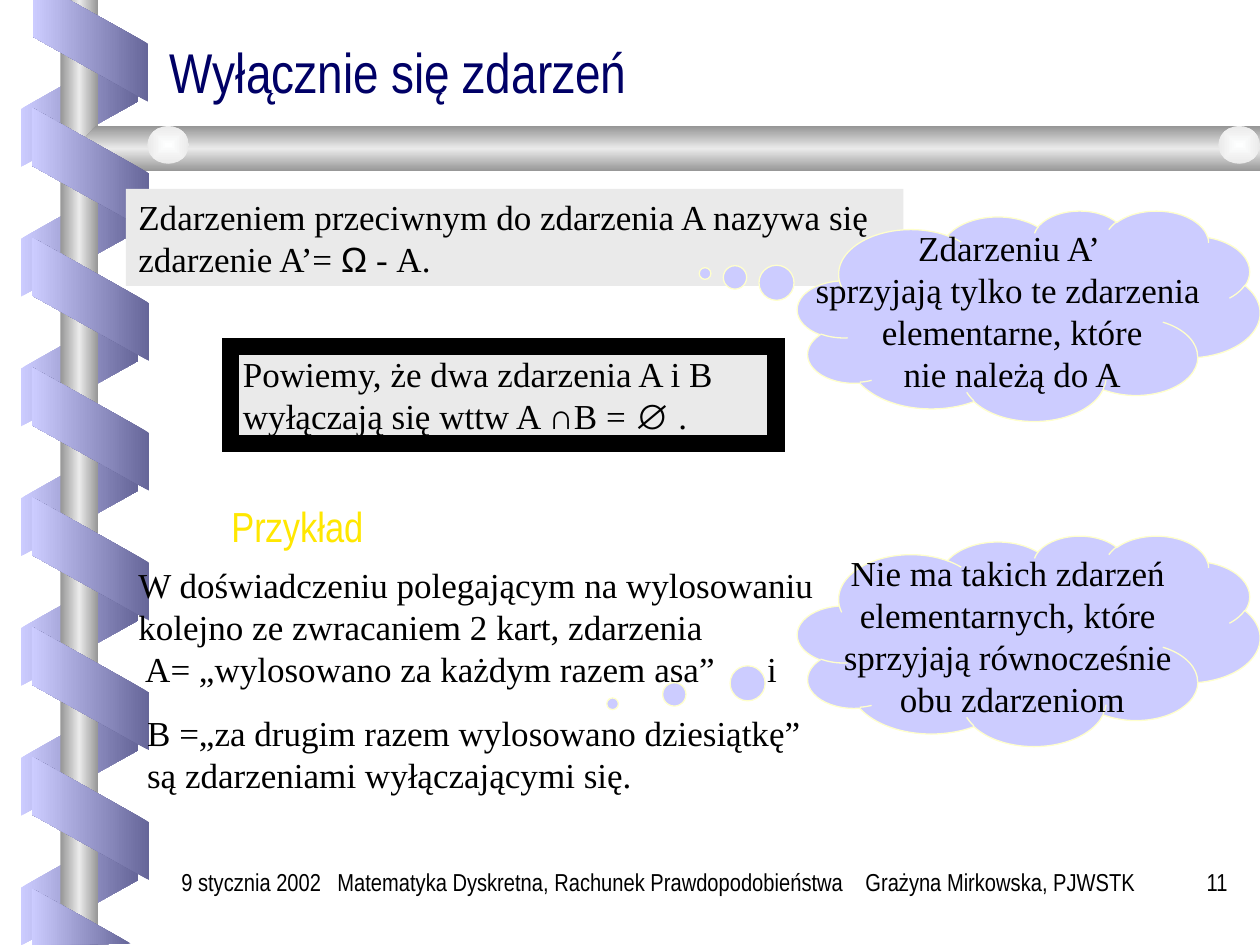
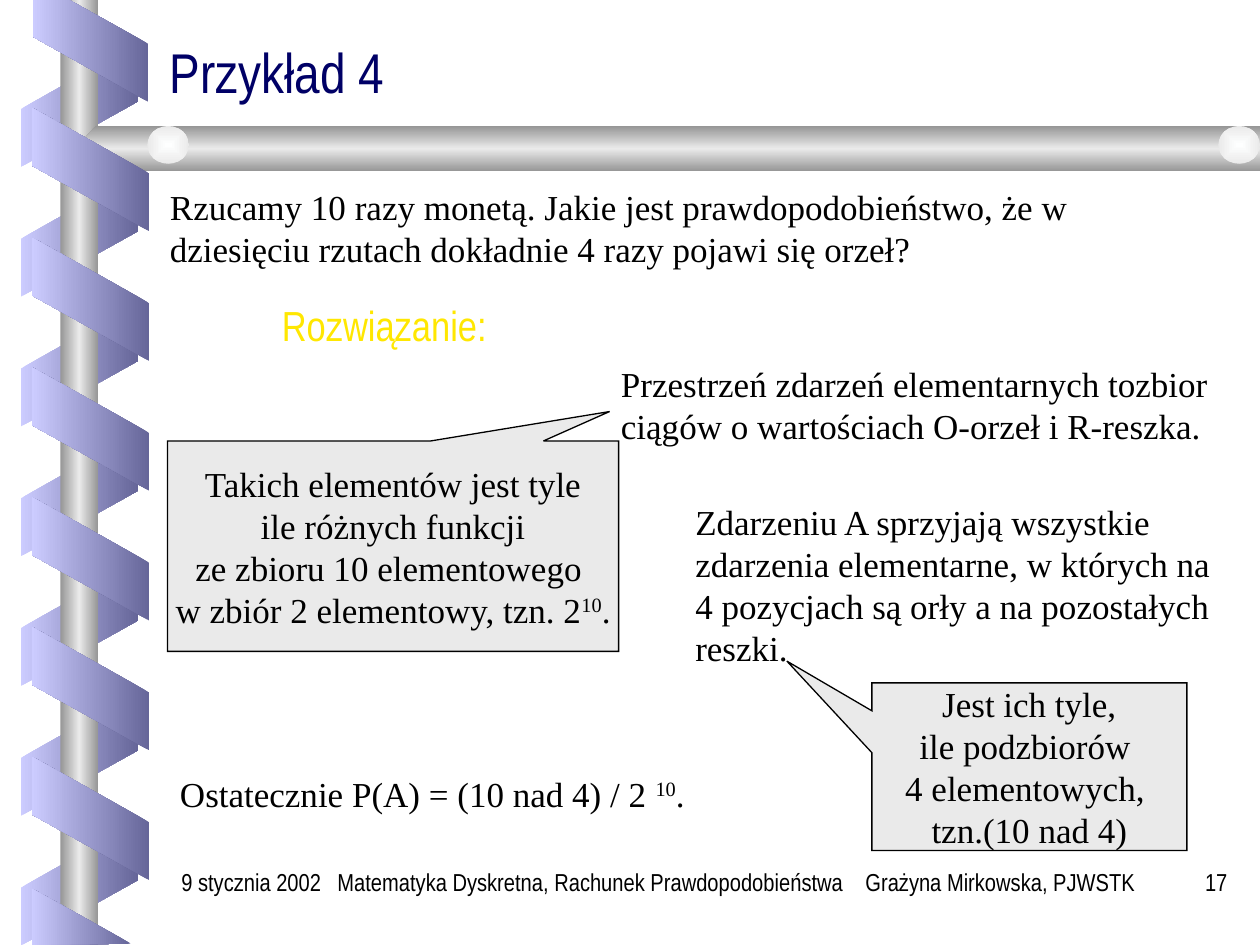
from collections import namedtuple
from dataclasses import dataclass

from lxml import etree
from pptx import Presentation
from pptx.dml.color import RGBColor
from pptx.enum.shapes import MSO_SHAPE
from pptx.enum.text import MSO_ANCHOR, PP_ALIGN
from pptx.oxml import parse_xml
from pptx.oxml.ns import nsdecls, qn
from pptx.util import Inches, Pt

RECTANGLE, ELLIPSE = MSO_SHAPE.RECTANGLE, MSO_SHAPE.OVAL
PARALLELOGRAM = MSO_SHAPE.PARALLELOGRAM
CLOUD, WEDGE = MSO_SHAPE.CLOUD_CALLOUT, MSO_SHAPE.RECTANGULAR_CALLOUT
TOP, MIDDLE, BOTTOM = MSO_ANCHOR.TOP, MSO_ANCHOR.MIDDLE, MSO_ANCHOR.BOTTOM
LEFT, CENTER, RIGHT = PP_ALIGN.LEFT, PP_ALIGN.CENTER, PP_ALIGN.RIGHT

Box = namedtuple("Box", "left top width height")
Style = namedtuple("Style", "font size color")
Run = namedtuple("Run", "text font superscript", defaults=(None, False))


@dataclass(frozen=True)
class Theme:
    title: Style = Style("Arial Narrow", 32, "000066")
    heading: Style = Style("Arial Narrow", 24, "FFE701")
    body: Style = Style("Times New Roman", 20, "000000")
    footer: Style = Style("Arial Narrow", 14, "000000")
    symbol_font: str = "Arial"
    panel: str = "EAEAEA"
    cloud: str = "CCCCFF"
    cloud_line: str = "FFFFCC"
    outline: str = "000000"
    ribbon_light: str = "CCCCFF"
    ribbon_dark: str = "666699"
    metal: tuple = ("969696", "EAEAEA", "969696")
    knob: tuple = ("FEFFFF", "EAEAEA")
    paragraph_gap: float = 12.5


THEME = Theme()
RIBBON_STEP = 1.03
RIBBON_SKEW = 0.56


def emu(box):
    return [Inches(length) for length in box]


def inside(box, left, top, width, height):
    """A box whose corner is measured from the corner of another box."""
    return Box(box.left + left, box.top + top, width, height)


def fill_gradient(shape, colors, angle=None):
    """Spread colors evenly along an angle, or outwards from the centre."""
    stops = "".join(
        f'<a:gs pos="{100000 * index // (len(colors) - 1)}"><a:srgbClr val="{color}"/></a:gs>'
        for index, color in enumerate(colors))
    if angle is None:
        shade = ('<a:path path="rect"><a:fillToRect l="50000" t="50000" '
                 'r="50000" b="50000"/></a:path>')
    else:
        shade = f'<a:lin ang="{angle * 60000}" scaled="1"/>'
    gradient = parse_xml(f'<a:gradFill {nsdecls("a")} rotWithShape="0">'
                         f"<a:gsLst>{stops}</a:gsLst>{shade}</a:gradFill>")
    geometry = shape.element.spPr.find(qn("a:prstGeom"))
    if geometry is None:
        geometry = shape.element.spPr.find(qn("a:custGeom"))
    geometry.addnext(gradient)
    shape.line.fill.background()
    shape.shadow.inherit = False


def add_gradient_shape(shapes, kind, box, colors, angle=None):
    shape = shapes.add_shape(kind, *emu(box))
    fill_gradient(shape, colors, angle)
    return shape


def add_outline(shapes, box, points, colors, angle):
    """Closed freeform with points measured from the corner of the box."""
    corners = [(Inches(box.left + x), Inches(box.top + y)) for x, y in points]
    builder = shapes.build_freeform(*corners[0], scale=1.0)
    builder.add_line_segments(corners[1:], close=True)
    fill_gradient(builder.convert_to_shape(), colors, angle)


def write_run(paragraph, item):
    for index, line in enumerate(item.text.split("\n")):
        if index:
            paragraph.add_line_break()
        if not line:
            continue
        run = paragraph.add_run()
        run.text = line
        if item.font:
            run.font.name = item.font
        if item.superscript:
            run.font._element.set("baseline", "30000")


def write_text(shape, paragraphs, style, align=LEFT, anchor=TOP, wrap=True,
               tab=None, line_spacing=None):
    """Each paragraph is a string or a list of strings and Runs."""
    frame = shape.text_frame
    frame.word_wrap = wrap
    frame.vertical_anchor = anchor
    for index, content in enumerate(paragraphs):
        paragraph = frame.add_paragraph() if index else frame.paragraphs[0]
        paragraph.alignment = align
        if index:
            paragraph.space_before = Pt(THEME.paragraph_gap)
        if line_spacing:
            paragraph.line_spacing = line_spacing
        if tab:
            tabs = etree.SubElement(paragraph._p.get_or_add_pPr(), qn("a:tabLst"))
            etree.SubElement(tabs, qn("a:tab"), pos=str(Inches(tab)), algn="l")
        paragraph.font.name = style.font
        paragraph.font.size = Pt(style.size)
        paragraph.font.color.rgb = RGBColor.from_string(style.color)
        for item in [content] if isinstance(content, str) else content:
            write_run(paragraph, Run(item) if isinstance(item, str) else item)


def add_text(slide, box, paragraphs, style=THEME.body, **options):
    write_text(slide.shapes.add_textbox(*emu(box)), paragraphs, style, **options)


def add_panel(slide, kind, box, paragraphs, fill=THEME.panel, line=None,
              line_width=0.75, tip=(), **options):
    """Filled shape with text; tip is where a callout points."""
    shape = slide.shapes.add_shape(kind, *emu(box))
    shape.shadow.inherit = False
    shape.fill.solid()
    shape.fill.fore_color.rgb = RGBColor.from_string(fill)
    if line:
        shape.line.color.rgb = RGBColor.from_string(line)
        shape.line.width = Pt(line_width)
        etree.SubElement(shape.element.spPr.find(qn("a:ln")), qn("a:miter"), lim="800000")
    else:
        shape.line.fill.background()
    for index, offset in enumerate(tip):
        shape.adjustments[index] = offset
    write_text(shape, paragraphs, THEME.body, **options)


def add_callout(slide, kind, box, text, tip, fill, line):
    add_panel(slide, kind, box, [text], fill, line, tip=tip,
              align=CENTER, anchor=MIDDLE, wrap=False)


def add_cloud(slide, box, text, tip):
    add_callout(slide, CLOUD, box, text, tip, THEME.cloud, THEME.cloud_line)


def add_wedge(slide, box, text, tip):
    add_callout(slide, WEDGE, box, text, tip, THEME.panel, THEME.outline)


def draw_ribbon_turns(shapes, box, count, rotation, colors):
    """Slanted bands stacked downwards; box is the first one."""
    for turn in range(count):
        band = box._replace(top=box.top + turn * RIBBON_STEP)
        shape = add_gradient_shape(shapes, PARALLELOGRAM, band, colors, 180)
        shape.adjustments[0] = RIBBON_SKEW
        shape.rotation = rotation
        if rotation == 90:
            shape.element.spPr.find(qn("a:xfrm")).set("flipH", "1")


def draw_back_ribbon(slide, box):
    shapes = slide.shapes.add_group_shape().shapes
    draw_ribbon_turns(shapes, inside(box, 0.14, 0.37, 0.98, 0.93), 7, 90,
                      (THEME.ribbon_light, THEME.ribbon_dark))


def draw_front_ribbon(slide, box):
    shapes = slide.shapes.add_group_shape().shapes
    colors = (THEME.ribbon_dark, THEME.ribbon_light)
    draw_ribbon_turns(shapes, inside(box, 0.23, 0.88, 0.98, 0.93), 6, 270, colors)
    upper_end = [(0.26, 0), (0.26, 0.29), (1.18, 0.81), (1.18, 0.35), (0.55, 0)]
    lower_end = [(1.04, 7.49), (0.25, 7.05), (0.25, 7.5)]
    for points in (upper_end, lower_end):
        add_outline(shapes, box, points, colors, 180)


def draw_beam(slide, box):
    """Horizontal metal bar with a pointed left end and two knobs."""
    right, bottom, neck = box.width, box.height, 0.16
    add_outline(slide.shapes, box,
                [(right, 0), (neck, 0), (0, bottom / 2), (neck, bottom), (right, bottom)],
                THEME.metal, 90)
    for left in (0.57, right - 0.33):
        add_gradient_shape(slide.shapes, ELLIPSE, inside(box, left, 0, 0.33, 0.3), THEME.knob)


def draw_frame(slide, box):
    draw_back_ribbon(slide, box)
    add_gradient_shape(slide.shapes, RECTANGLE, inside(box, 0.48, 0, 0.3, box.height),
                       THEME.metal, 180)
    draw_beam(slide, inside(box, 0.6, 1, box.width - 0.6, 0.36))
    draw_front_ribbon(slide, box)


def draw_footer(slide, box, number):
    add_text(slide, inside(box, 1.24, 0, 6.58, box.height),
             ["Matematyka Dyskretna, Rachunek Prawdopodobieństwa\tGrażyna Mirkowska, PJWSTK"],
             THEME.footer, tab=4.19)
    add_text(slide, inside(box, 7.66, 0, 0.84, box.height), [str(number)],
             THEME.footer, align=RIGHT)
    add_text(slide, inside(box, 0, 0, 1.41, box.height), ["9 stycznia 2002"], THEME.footer)


def add_framed_slide(presentation, title, number):
    slide = presentation.slides.add_slide(presentation.slide_layouts[6])
    draw_frame(slide, Box(0, 0, 10, 7.5))
    add_text(slide, Box(1.25, 0.25, 8.5, 0.63), [title], THEME.title,
             anchor=BOTTOM, line_spacing=0.8)
    draw_footer(slide, Box(1.34, 6.83, 8.5, 0.5), number)
    return slide


def add_heading(slide, box, text):
    add_text(slide, box, [text], THEME.heading, align=CENTER)


def build_exclusive_events(presentation):
    slide = add_framed_slide(presentation, "Wyłącznie się zdarzeń", 11)
    symbol = THEME.symbol_font
    add_panel(slide, RECTANGLE, Box(1, 1.5, 6.17, 0.77), [[
        "Zdarzeniem przeciwnym do zdarzenia A nazywa się zdarzenie A’= ",
        Run("Ω", symbol), " - A."]])
    add_cloud(slide, Box(6.33, 1.67, 3.67, 1.67),
              "Zdarzeniu A’ \nsprzyjają tylko te zdarzenia \n"
              "elementarne, które\nnie należą do A", (-0.7, -0.2))
    add_panel(slide, RECTANGLE, Box(1.83, 2.75, 4.33, 0.77), [[
        "Powiemy, że dwa zdarzenia A i B wyłączają się wttw A ",
        Run("∩", symbol), "B = ", Run("∅", symbol), " ."]],
        line=THEME.outline, line_width=10)
    add_text(slide, Box(1, 4.42, 5.92, 1.94), [
        "W doświadczeniu polegającym na wylosowaniu kolejno ze zwracaniem 2 kart, zdarzenia\n"
        " A= „wylosowano za każdym razem asa”\ti",
        " B =„za drugim razem wylosowano dziesiątkę”\n są zdarzeniami wyłączającymi się."],
        tab=4.99)
    add_cloud(slide, Box(6.33, 4.25, 3.67, 1.67),
              "Nie ma takich zdarzeń \nelementarnych, które \n"
              "sprzyjają równocześnie \nobu zdarzeniom", (-0.9, 0.3))
    add_heading(slide, Box(1.5, 3.92, 1.72, 0.5), "Przykład")


def build_coin_example(presentation):
    slide = add_framed_slide(presentation, "Przykład 4", 17)
    exponent = Run("10", superscript=True)
    add_text(slide, Box(1.25, 1.42, 8.42, 0.77), [
        "Rzucamy 10 razy monetą. Jakie jest prawdopodobieństwo, że w "
        "dziesięciu rzutach dokładnie 4 razy pojawi się orzeł?"])
    add_heading(slide, Box(1.75, 2.33, 2.6, 0.75), "Rozwiązanie:")
    add_text(slide, Box(4.83, 2.83, 5.08, 0.77), [
        "Przestrzeń zdarzeń elementarnych tozbior "
        "ciągów o wartościach O-orzeł i R-reszka."])
    add_wedge(slide, Box(1.33, 3.5, 3.58, 1.67), [
        "Takich elementów jest tyle\n ile różnych funkcji \nze zbioru 10 elementowego \n"
        "w zbiór 2 elementowy, tzn. 2", exponent, "."], (0.48, -0.64))
    add_text(slide, Box(5.42, 3.92, 4.33, 1.44), [
        "Zdarzeniu A sprzyjają wszystkie zdarzenia elementarne, w których na "
        "4 pozycjach są orły a na pozostałych reszki."])
    add_wedge(slide, Box(6.92, 5.42, 2.5, 1.33),
              "Jest ich tyle,\nile podzbiorów \n4 elementowych, \ntzn.(10 nad 4)",
              (-0.77, -0.63))
    add_text(slide, Box(1.33, 6.08, 5.42, 0.44), [[
        "Ostatecznie P(A) = (10 nad 4) / 2 ", exponent, "."]])


def main():
    presentation = Presentation()
    presentation.slide_width, presentation.slide_height = Inches(10), Inches(7.5)
    build_exclusive_events(presentation)
    build_coin_example(presentation)
    presentation.save("out.pptx")


if __name__ == "__main__":
    main()
